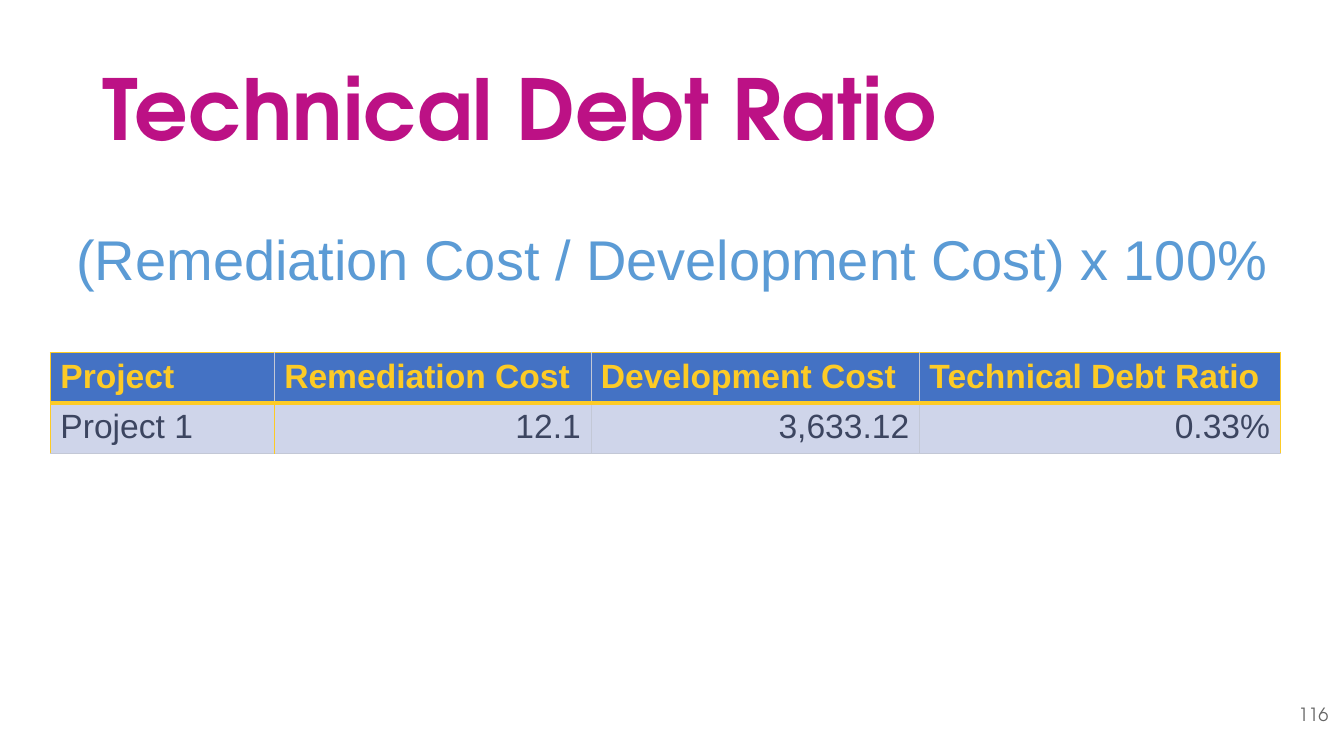
from pptx import Presentation
from pptx.dml.color import RGBColor
from pptx.enum.text import MSO_ANCHOR as Anchor, PP_ALIGN as Align
from pptx.oxml import parse_xml
from pptx.oxml.ns import nsdecls
from pptx.util import Cm, Pt

HEADING_FONT, BODY_FONT = "TeX Gyre Adventor", "Arial"
YELLOW, GREY = "FDCB26", "C3C8D6"
COLUMNS = [5.64, 7.98, 8.28, 9.09]
ROWS = [
    ["Project", "Remediation Cost", "Development Cost", "Technical Debt Ratio"],
    ["Project 1", "12.1", "3,633.12", "0.33%"],
]


def rgb(color):
    """Turn a hex string into a colour."""
    return RGBColor.from_string(color)


def write(tf, text, font, size, color, bold=False, align=Align.LEFT):
    """Fill a text frame with one formatted paragraph."""
    p = tf.paragraphs[0]
    p.text, p.alignment = text, align
    p.font.name, p.font.size, p.font.bold = font, Pt(size), bold
    p.font.color.rgb = rgb(color)
    return p


def place(sp, x, y, w, h):
    """Move a shape to a box given in centimetres."""
    sp.left, sp.top, sp.width, sp.height = Cm(x), Cm(y), Cm(w), Cm(h)


def add_title(s, x, y, w, h):
    """Place and format the title placeholder."""
    sp = s.shapes.title
    place(sp, x, y, w, h)
    tf = sp.text_frame
    tf.vertical_anchor = Anchor.MIDDLE
    p = write(tf, "Technical Debt Ratio", HEADING_FONT, 60, "BC1185", True)
    p.line_spacing = 0.9


def add_formula(s, x, y, w, h):
    """Place the formula on one centred line."""
    tf = s.shapes.add_textbox(Cm(x), Cm(y), Cm(w), Cm(h)).text_frame
    tf.word_wrap = False
    write(tf, "(Remediation Cost / Development Cost) x 100%",
          BODY_FONT, 40, "5B9BD5", align=Align.CENTER)


def add_page_number(s, x, y, w, h):
    """Place the page number."""
    tf = s.shapes.add_textbox(Cm(x), Cm(y), Cm(w), Cm(h)).text_frame
    tf.word_wrap = True
    write(tf, "116", HEADING_FONT, 13, "666666", align=Align.RIGHT)


def set_border(cell, side, color, width):
    """Draw one side of a table cell."""
    cell._tc.get_or_add_tcPr().append(parse_xml(
        f'<a:ln{side} {nsdecls("a")} w="{Pt(width)}"><a:solidFill>'
        f'<a:srgbClr val="{color}"/></a:solidFill></a:ln{side}>'))


def format_cell(cell, text, row, col):
    """Write, border and fill one table cell."""
    header, last = row == 0, col == len(COLUMNS) - 1
    outer, inner, rule = (YELLOW, 1), (GREY, 0.5), (YELLOW, 3)
    first_divider = inner if header else outer
    sides = {
        "L": outer if col == 0 else first_divider if col == 1 else inner,
        "R": outer if last else first_divider if col == 0 else inner,
        "T": outer if header else rule,
        "B": rule if header else inner,
    }
    for side, line in sides.items():
        set_border(cell, side, *line)
    cell.fill.solid()
    cell.fill.fore_color.rgb = rgb("4472C4" if header else "CFD5EA")
    align = Align.LEFT if header or col == 0 else Align.RIGHT
    write(cell.text_frame, text, BODY_FONT, 24,
          YELLOW if header else "3C4560", header, align)


def add_ratio_table(s, x, y, w, h):
    """Place the table of project costs and ratios."""
    table = s.shapes.add_table(len(ROWS), len(COLUMNS),
                               Cm(x), Cm(y), Cm(w), Cm(h)).table
    for column, width in zip(table.columns, COLUMNS):
        column.width = Cm(width)
    for row, texts in enumerate(ROWS):
        for col, text in enumerate(texts):
            format_cell(table.cell(row, col), text, row, col)


def main():
    """Build the slide and save it."""
    prs = Presentation()
    prs.slide_width, prs.slide_height = Cm(33.87), Cm(19.05)
    s = prs.slides.add_slide(prs.slide_layouts[5])
    add_title(s, 2.33, 1.01, 29.21, 3.68)
    add_page_number(s, 31.7, 17.6, 2.03, 1.45)
    add_formula(s, 1.5, 5.54, 30.86, 1.96)
    add_ratio_table(s, 1.27, 8.89, sum(COLUMNS), 2.54)
    prs.save("out.pptx")


if __name__ == "__main__":
    main()
